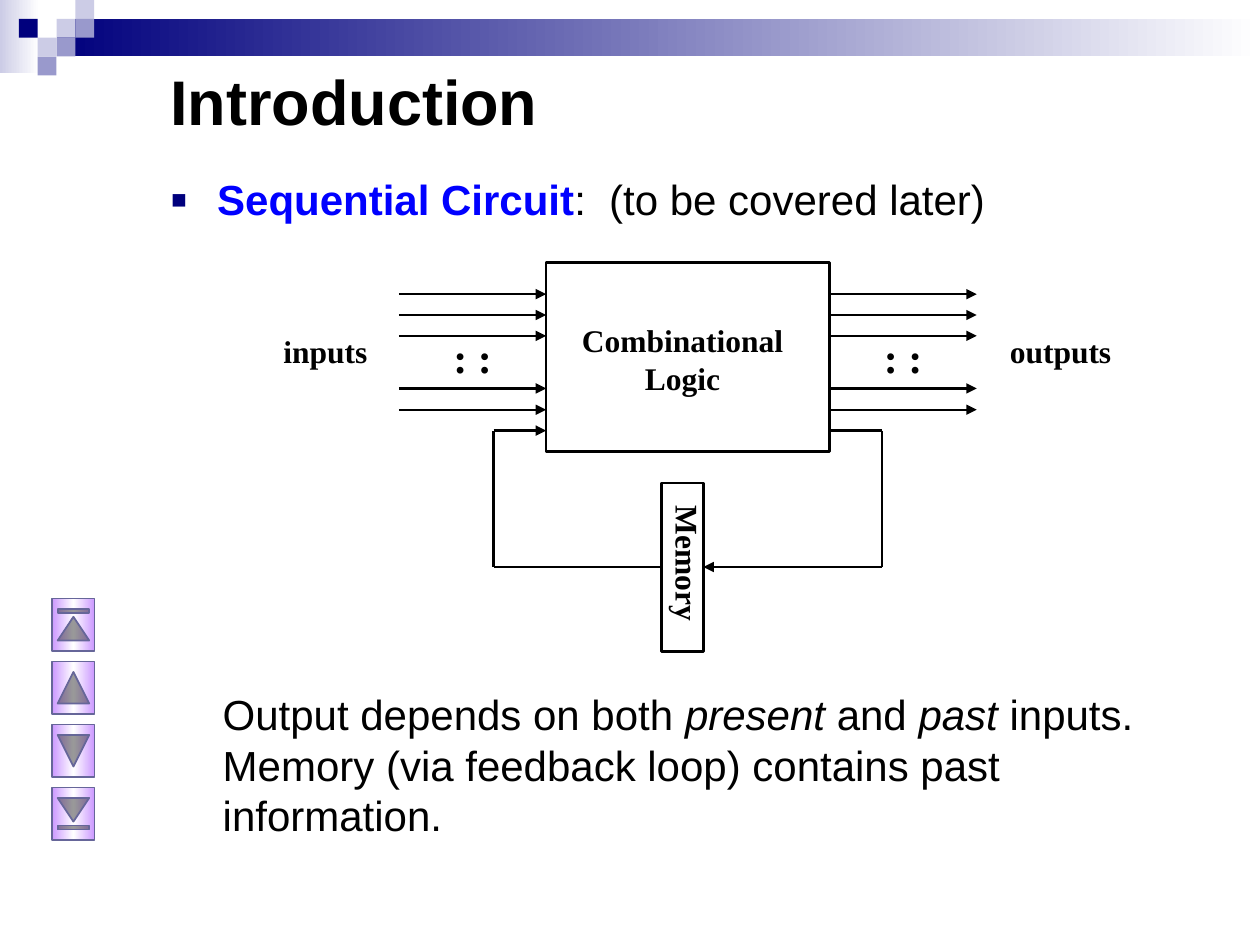
from dataclasses import dataclass
from lxml.etree import SubElement
from pptx import Presentation
from pptx.dml.color import RGBColor as Rgb
from pptx.enum.shapes import MSO_CONNECTOR as Link, MSO_SHAPE as Shape
from pptx.enum.text import MSO_ANCHOR as Anchor, PP_ALIGN as Align
from pptx.oxml.ns import qn
from pptx.util import Cm, Pt


@dataclass(frozen=True)
class Theme:
    """Colours, fonts and type sizes of the deck."""
    navy: str = "00007D"
    mid: str = "9999CC"
    pale: str = "CCCCE6"
    white: str = "FFFFFF"
    black: str = "000000"
    blue: str = "0000FF"
    lilac: str = "CC99FF"
    slate: str = "666699"
    sans: str = "Arial"
    serif: str = "Times New Roman"
    title: int = 36
    body: int = 24
    label: int = 18


THEME = Theme()


def color(name):
    """Turn a hex string into a colour."""
    return Rgb.from_string(name)


def cms(*values):
    """Turn numbers into centimetre lengths."""
    return [Cm(value) for value in values]


def paint_gradient(shape, stops, angle):
    """Fill a shape with a linear gradient of (position, colour) stops."""
    shape.fill.gradient()
    shape.fill.gradient_angle = angle
    stop_list = shape.fill._fill._gradFill.find(qn("a:gsLst"))
    stop_list.clear()
    for position, name in stops:
        stop = SubElement(stop_list, qn("a:gs"), pos=str(position * 1000))
        SubElement(stop, qn("a:srgbClr"), val=name)


def add_shape(page, place, kind=Shape.RECTANGLE, fill=None, line=None, width=1.5):
    """Add a preset shape with an optional plain fill and outline."""
    shape = page.shapes.add_shape(kind, *cms(*place))
    shape.shadow.inherit = False
    if fill:
        shape.fill.solid()
        shape.fill.fore_color.rgb = color(fill)
    else:
        shape.fill.background()
    if line:
        shape.line.color.rgb = color(line)
        shape.line.width = Pt(width)
    else:
        shape.line.fill.background()
    return shape


def add_line(page, start, end, arrow=False):
    """Draw a signal line, with an arrowhead at its end if wanted."""
    line = page.shapes.add_connector(Link.STRAIGHT, *cms(*start, *end))
    line.line.color.rgb = color(THEME.black)
    line.line.width = Pt(1.25)
    if arrow:
        SubElement(line.line._get_or_add_ln(), qn("a:tailEnd"), type="triangle")
    SubElement(line._element.spPr, qn("a:effectLst"))


def set_font(para, name, size, bold=False):
    """Set the shared font of a paragraph."""
    font = para.font
    font.name, font.size, font.bold = name, Pt(size), bold
    font.color.rgb = color(THEME.black)


def add_text(page, place, lines, name, size, bold=False, align=Align.LEFT):
    """Add a text box whose lines are lists of (text, italic) spans."""
    box = page.shapes.add_textbox(*cms(*place))
    frame = box.text_frame
    frame.word_wrap = True
    for index, spans in enumerate(lines):
        para = frame.paragraphs[0] if index == 0 else frame.add_paragraph()
        para.alignment = align
        set_font(para, name, size, bold)
        for text, italic in spans:
            span = para.add_run()
            span.text = text
            if italic:
                span.font.italic = True
    return box


def add_label(page, place, *lines, size=THEME.label, align=Align.CENTER):
    """Add a bold serif label of the circuit."""
    spans = [[(line, False)] for line in lines]
    return add_text(page, place, spans, THEME.serif, size, True, align)


def add_banner(page):
    """Draw the gradient bar and the squares at the top."""
    strip = add_shape(page, (0, 0, 0.79, 1.47))
    paint_gradient(strip, [(0, THEME.pale), (100, THEME.white)], 0)
    bar = add_shape(page, (1.14, 0.38, 24.26, 0.76))
    paint_gradient(bar, [(0, THEME.navy), (100, THEME.white)], 0)
    side = 0.38
    squares = {
        THEME.pale: [(3, 1), (4, 0), (2, 2)],
        THEME.mid: [(4, 1), (3, 2), (2, 3)],
        THEME.navy: [(1, 1)],
    }
    for fill, cells in squares.items():
        for column, row in cells:
            add_shape(page, (column * side, row * side, side, side), fill=fill)


def add_title(page, text):
    """Place and format the title."""
    title = page.shapes.title
    title.left, title.top, title.width, title.height = cms(3.18, 0.43, 21.59, 3.18)
    title.text_frame.text = text
    title.text_frame.vertical_anchor = Anchor.MIDDLE
    para = title.text_frame.paragraphs[0]
    para.alignment = Align.LEFT
    set_font(para, THEME.sans, THEME.title, True)


def add_bullet(page, term, rest):
    """Add the bulleted line with its highlighted term."""
    box = page.shapes.add_textbox(*cms(3.18, 3.38, 21.59, 1.47))
    box.text_frame.word_wrap = True
    para = box.text_frame.paragraphs[0]
    props = para._p.get_or_add_pPr()
    props.set("marL", str(Cm(0.95)))
    props.set("indent", str(Cm(-0.95)))
    SubElement(SubElement(props, qn("a:buClr")), qn("a:srgbClr"), val=THEME.navy)
    SubElement(props, qn("a:buSzPct"), val="120000")
    SubElement(props, qn("a:buFont"), typeface=THEME.sans)
    SubElement(props, qn("a:buChar"), char="▪")
    set_font(para, THEME.sans, THEME.body)
    span = para.add_run()
    span.text = term
    span.font.bold = True
    span.font.color.rgb = color(THEME.blue)
    para.add_run().text = rest


def add_circuit(page):
    """Draw the logic block, its signals and the memory loop."""
    left, right, loop_top, loop_bottom = 11.01, 16.72, 8.68, 11.43
    loop_left, loop_right = 9.95, 17.78
    memory_left, memory_right = 13.34, 14.18
    add_shape(page, (left, 5.29, right - left, 3.81), line=THEME.black)
    add_label(page, (11.22, 6.35, 5.08, 1.78), "Combinational", "Logic")
    for start, end in ((8.04, left), (right, 19.69)):
        for height in (5.93, 6.35, 6.77, 7.83, 8.26):
            add_line(page, (start, height), (end, height), True)
    for dots in (8.89, 17.57):
        add_label(page, (dots, 6.56, 1.7, 1.27), ": :", size=THEME.body, align=Align.LEFT)
    for place, name in ((5.08, "inputs"), (19.9, "outputs")):
        add_label(page, (place, 6.56, 2.96, 1.02), name)
    add_shape(page, (memory_left, 9.74, memory_right - memory_left, 3.39), line=THEME.black)
    memory = add_label(page, (12.28, 11.03, 3.18, 1.02), "Memory", align=Align.LEFT)
    memory.rotation = 90
    add_line(page, (right, loop_top), (loop_right, loop_top))
    add_line(page, (loop_right, loop_top), (loop_right, loop_bottom))
    add_line(page, (loop_right, loop_bottom), (memory_right, loop_bottom), True)
    add_line(page, (memory_left, loop_bottom), (loop_left, loop_bottom))
    add_line(page, (loop_left, loop_bottom), (loop_left, loop_top))
    add_line(page, (loop_left, loop_top), (left, loop_top), True)


def add_buttons(page):
    """Stack the four navigation buttons."""
    kinds = (Shape.ACTION_BUTTON_BEGINNING, Shape.ACTION_BUTTON_BACK_OR_PREVIOUS,
             Shape.ACTION_BUTTON_FORWARD_OR_NEXT, Shape.ACTION_BUTTON_END)
    for index, kind in enumerate(kinds):
        button = add_shape(page, (0.95, 12.17 + index * 1.27, 1.06, 0.85), kind,
                           line=THEME.slate, width=1)
        button.rotation = 90
        paint_gradient(button, [(0, THEME.lilac), (50, THEME.white), (100, THEME.lilac)], 90)


def main():
    """Build and save the slide."""
    deck = Presentation()
    deck.slide_width, deck.slide_height = cms(25.4, 19.05)
    page = deck.slides.add_slide(deck.slide_layouts[5])
    add_banner(page)
    add_title(page, "Introduction")
    add_bullet(page, "Sequential Circuit", ":  (to be covered later)")
    add_text(page, (4.24, 13.76, 19.9, 3.6), [
        [("Output depends on both ", False), ("present", True), (" and ", False),
         ("past", True), (" inputs.", False)],
        [("Memory (via feedback loop) contains past information.", False)],
    ], THEME.sans, THEME.body)
    add_circuit(page)
    add_buttons(page)
    deck.save("out.pptx")


if __name__ == "__main__":
    main()
